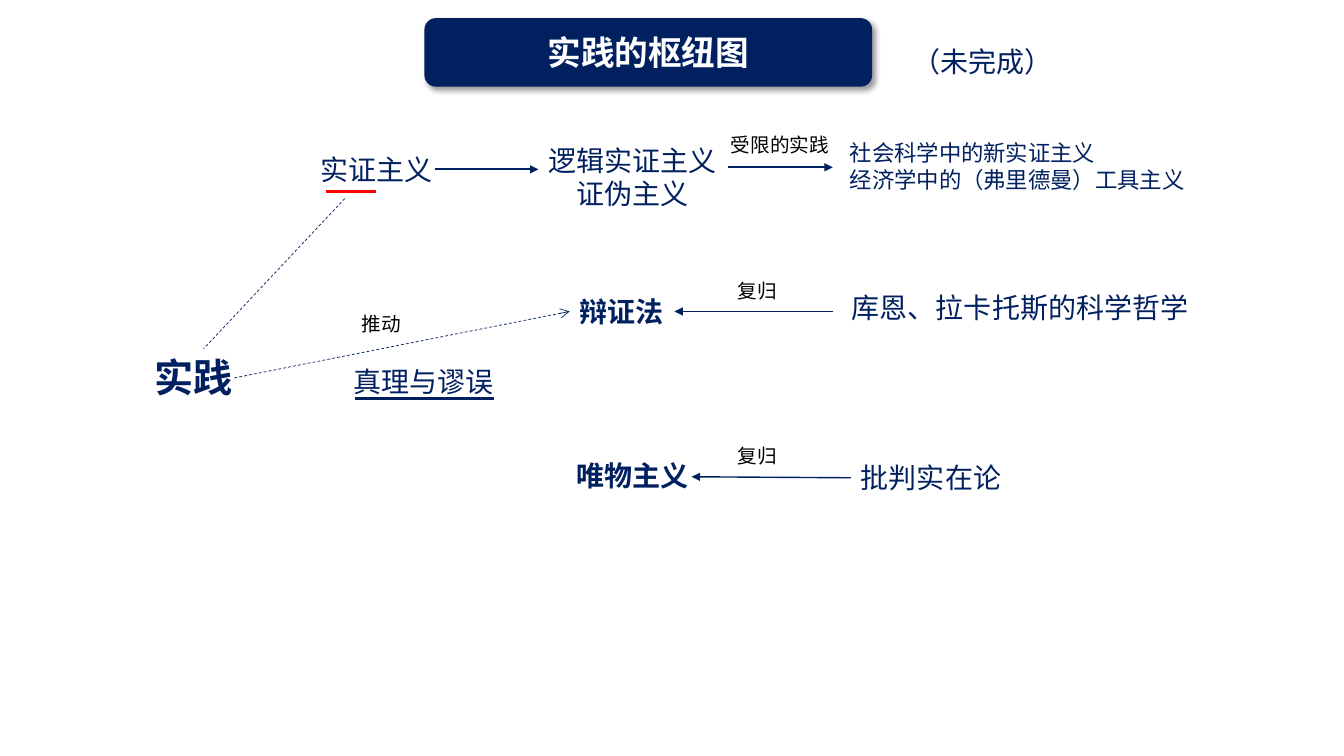
from lxml import etree
from pptx import Presentation
from pptx.dml.color import RGBColor
from pptx.enum.dml import MSO_LINE
from pptx.enum.shapes import MSO_CONNECTOR, MSO_SHAPE
from pptx.enum.text import MSO_ANCHOR, MSO_AUTO_SIZE, PP_ALIGN
from pptx.oxml.ns import qn
from pptx.util import Inches, Pt

STRAIGHT = MSO_CONNECTOR.STRAIGHT
ROUNDED = MSO_SHAPE.ROUNDED_RECTANGLE
DASH = MSO_LINE.DASH
MIDDLE = MSO_ANCHOR.MIDDLE
GROW = MSO_AUTO_SIZE.SHAPE_TO_FIT_TEXT
LEFT, CENTER = PP_ALIGN.LEFT, PP_ALIGN.CENTER
LEFT_SIDE, RIGHT_SIDE = 1, 3
COLORS = {"navy": "002060", "white": "FFFFFF", "black": "000000", "red": "FF0000"}
FONT = "Noto Sans CJK SC"


class PracticeMap:
    """Draws the elements of the practice diagram on one slide."""

    def __init__(self, deck):
        self.page = deck.slides.add_slide(deck.slide_layouts[6])

    def color(self, name):
        return RGBColor.from_string(COLORS[name])

    def add_span(self, para, text, size, color, bold):
        span = para.add_run()
        span.text = text
        formats = {"name": FONT, "size": Pt(size), "bold": bold}
        for key, value in formats.items():
            setattr(span.font, key, value)
        span.font.color.rgb = self.color(color)
        etree.SubElement(span.font._element, qn("a:ea"), typeface=FONT)

    def title(self, text, left, top, width, height):
        box = self.page.shapes.add_shape(
            ROUNDED, Inches(left), Inches(top), Inches(width), Inches(height))
        box.fill.solid()
        box.fill.fore_color.rgb = self.color("navy")
        box.line.fill.background()
        box.shadow.inherit = False
        effects = box._element.spPr.find(qn("a:effectLst"))
        shadow = etree.SubElement(
            effects, qn("a:outerShdw"), blurRad=str(Pt(4)), dist=str(Pt(3)),
            dir="2700000", algn="tl", rotWithShape="0")
        shade = etree.SubElement(shadow, qn("a:srgbClr"), val=COLORS["black"])
        etree.SubElement(shade, qn("a:alpha"), val="40000")
        box.text_frame.vertical_anchor = MIDDLE
        para = box.text_frame.paragraphs[0]
        para.alignment = CENTER
        self.add_span(para, text, 24, "white", True)

    def label(self, lines, left, top, width, height, size=20, color="navy",
              bold=False, last_align=LEFT):
        box = self.page.shapes.add_textbox(
            Inches(left), Inches(top), Inches(width), Inches(height))
        frame = box.text_frame
        frame.word_wrap = False
        frame.auto_size = GROW
        for index, line in enumerate(lines):
            para = frame.paragraphs[0] if index == 0 else frame.add_paragraph()
            self.add_span(para, line, size, color, bold)
        para.alignment = last_align
        return box

    def note(self, text, left, top, width=0.59):
        self.label([text], left, top, width, 0.34, size=14, color="black")

    def line(self, start, end, width, color="navy", dash=None, head=None,
             tail=None, begin=None):
        link = self.page.shapes.add_connector(
            STRAIGHT, *(Inches(value) for value in (*start, *end)))
        link.line.color.rgb = self.color(color)
        link.line.width = Pt(width)
        link.line.dash_style = dash
        outline = link.line._get_or_add_ln()
        for tag, kind in (("a:headEnd", head), ("a:tailEnd", tail)):
            if kind:
                etree.SubElement(outline, qn(tag), type=kind)
        etree.SubElement(link._element.spPr, qn("a:effectLst"))
        if begin:
            link.begin_connect(*begin)
        return link


def main():
    deck = Presentation()
    deck.slide_width, deck.slide_height = Inches(13.33), Inches(7.5)
    chart = PracticeMap(deck)

    chart.title("实践的枢纽图", 4.21, 0.18, 4.44, 0.68)
    chart.label(["（未完成）"], 8.95, 0.39, 1.6, 0.44)
    chart.label(["实践"], 1.43, 3.46, 0.99, 0.57, size=28, bold=True)

    chart.label(["实证主义"], 3.08, 1.46, 1.32, 0.44)
    chart.line((3.23, 1.9), (3.73, 1.9), 2.25, color="red")
    chart.line((3.42, 1.97), (2.02, 3.46), 0.5, dash=DASH)
    chart.line((4.31, 1.68), (5.34, 1.68), 1.5, tail="triangle")
    chart.label(["逻辑实证主义", "证伪主义"], 5.34, 1.37, 1.88, 0.77,
                last_align=CENTER)
    chart.line((7.22, 1.66), (8.26, 1.66), 1.5, tail="triangle")
    chart.note("受限的实践", 7.15, 1.27, 1.18)
    chart.label(["社会科学中的新实证主义", "经济学中的（弗里德曼）工具主义"],
                8.33, 1.33, 3.57, 0.64, size=16)

    dialectics = chart.label(["辩证法"], 5.65, 2.87, 1.04, 0.44, bold=True)
    chart.line((5.65, 3.09), (2.32, 3.75), 0.5, dash=DASH, head="arrow",
               begin=(dialectics, LEFT_SIDE))
    kuhn_arrow = chart.line((8.26, 3.09), (6.67, 3.09), 1, tail="triangle")
    kuhn_arrow.end_connect(dialectics, RIGHT_SIDE)
    chart.note("复归", 7.22, 2.72)
    chart.label(["库恩、拉卡托斯的科学哲学"], 8.35, 2.83, 3.57, 0.44)

    chart.label(["唯物主义"], 5.62, 4.5, 1.32, 0.44, bold=True)
    realism = chart.label(["批判实在论"], 8.44, 4.52, 1.6, 0.44)
    chart.line((8.44, 4.73), (6.86, 4.73), 1, tail="triangle",
               begin=(realism, LEFT_SIDE))
    chart.note("复归", 7.22, 4.35)

    chart.note("推动", 3.49, 3.05)
    chart.label(["真理与谬误"], 3.41, 3.57, 1.6, 0.44)
    chart.line((3.52, 3.95), (4.9, 3.95), 2.25)
    deck.save("out.pptx")


if __name__ == "__main__":
    main()
